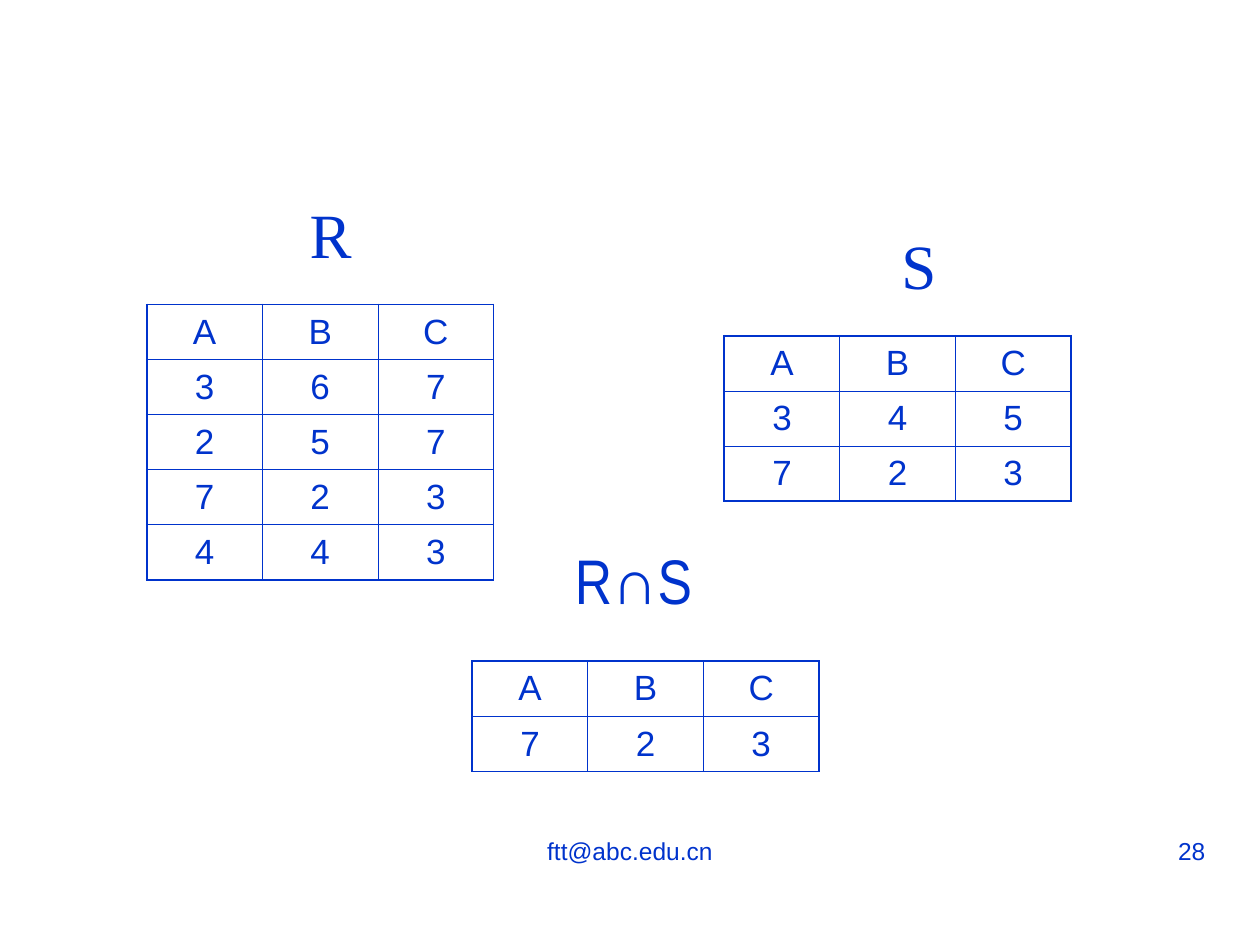
"""Build a slide showing relations R and S and their intersection."""
from dataclasses import dataclass

from lxml import etree
from pptx import Presentation
from pptx import util as u
from pptx.dml.color import RGBColor
from pptx.enum import text
from pptx.oxml import ns

BLUE = RGBColor(0x00, 0x33, 0xCC)
COL_W, ROW_H = u.Cm(2.33), u.Cm(1.11)
THICK, THIN = u.Pt(1.08), u.Pt(0.45)
CENTER, RIGHT = text.PP_ALIGN.CENTER, text.PP_ALIGN.RIGHT


@dataclass
class Label:
    text: str
    left: float
    top: float
    width: float
    height: float = 1.78
    size: float = 36
    font: str = "Times New Roman"
    align: text.PP_ALIGN = CENTER
    before: float = 22.5


@dataclass
class Relation:
    label: Label
    left: float
    top: float
    rows: list[str]


RELATIONS = [
    Relation(Label("R", 5.5, 3.81, 2.33), 2.96, 6.14, ["ABC", "367", "257", "723", "443"]),
    Relation(Label("S", 17.36, 4.45, 2.33), 14.6, 6.77, ["ABC", "345", "723"]),
    Relation(Label("R∩S ", 11.22, 10.8, 3.39, font="Arial Narrow"), 9.52, 13.33, ["ABC", "723"]),
]
FOOTERS = [
    Label("ftt@abc.edu.cn", 8.68, 16.72, 8.04, 1.32, 14, "Arial", CENTER, 0),
    Label("28", 18.2, 16.72, 6.35, 1.32, 14, "Arial", RIGHT, 0),
]


def write(tf, content: str, size: float, font: str, align, before: float) -> None:
    p = tf.paragraphs[0]
    p.alignment = align
    p.space_before = u.Pt(before)
    r = p.add_run()
    r.text = content
    r.font.size = u.Pt(size)
    r.font.name = font
    r.font.color.rgb = BLUE


def draw_label(s, label: Label) -> None:
    box = (label.left, label.top, label.width, label.height)
    sp = s.shapes.add_textbox(*map(u.Cm, box))
    tf = sp.text_frame
    tf.word_wrap = True
    if label.before:
        tf.auto_size = text.MSO_AUTO_SIZE.SHAPE_TO_FIT_TEXT
    write(tf, label.text, label.size, label.font, label.align, label.before)


def set_borders(cell, outer: dict[str, bool]) -> None:
    tc_pr = cell._tc.get_or_add_tcPr()
    for i, (side, is_outer) in enumerate(outer.items()):
        ln = etree.Element(ns.qn(f"a:ln{side}"), w=str(THICK if is_outer else THIN))
        fill = etree.SubElement(ln, ns.qn("a:solidFill"))
        etree.SubElement(fill, ns.qn("a:srgbClr"), val=str(BLUE))
        tc_pr.insert(i, ln)


def draw_relation(s, rel: Relation) -> None:
    n_rows, n_cols = len(rel.rows), len(rel.rows[0])
    frame = s.shapes.add_table(n_rows, n_cols, u.Cm(rel.left), u.Cm(rel.top),
                               COL_W * n_cols, ROW_H * n_rows)
    table = frame.table
    table.first_row = table.horz_banding = False
    for i, row in enumerate(rel.rows):
        for j, value in enumerate(row):
            cell = table.cell(i, j)
            cell.fill.background()
            cell.vertical_anchor = text.MSO_ANCHOR.MIDDLE
            write(cell.text_frame, value, 20, "Arial", CENTER, 5)
            set_borders(cell, {"L": j == 0, "R": j == n_cols - 1,
                               "T": i == 0, "B": i == n_rows - 1})
    draw_label(s, rel.label)


def main() -> None:
    prs = Presentation()
    prs.slide_width, prs.slide_height = u.Cm(25.4), u.Cm(19.05)
    s = prs.slides.add_slide(prs.slide_layouts[6])
    for footer in FOOTERS:
        draw_label(s, footer)
    for rel in RELATIONS:
        draw_relation(s, rel)
    prs.save("out.pptx")


if __name__ == "__main__":
    main()
